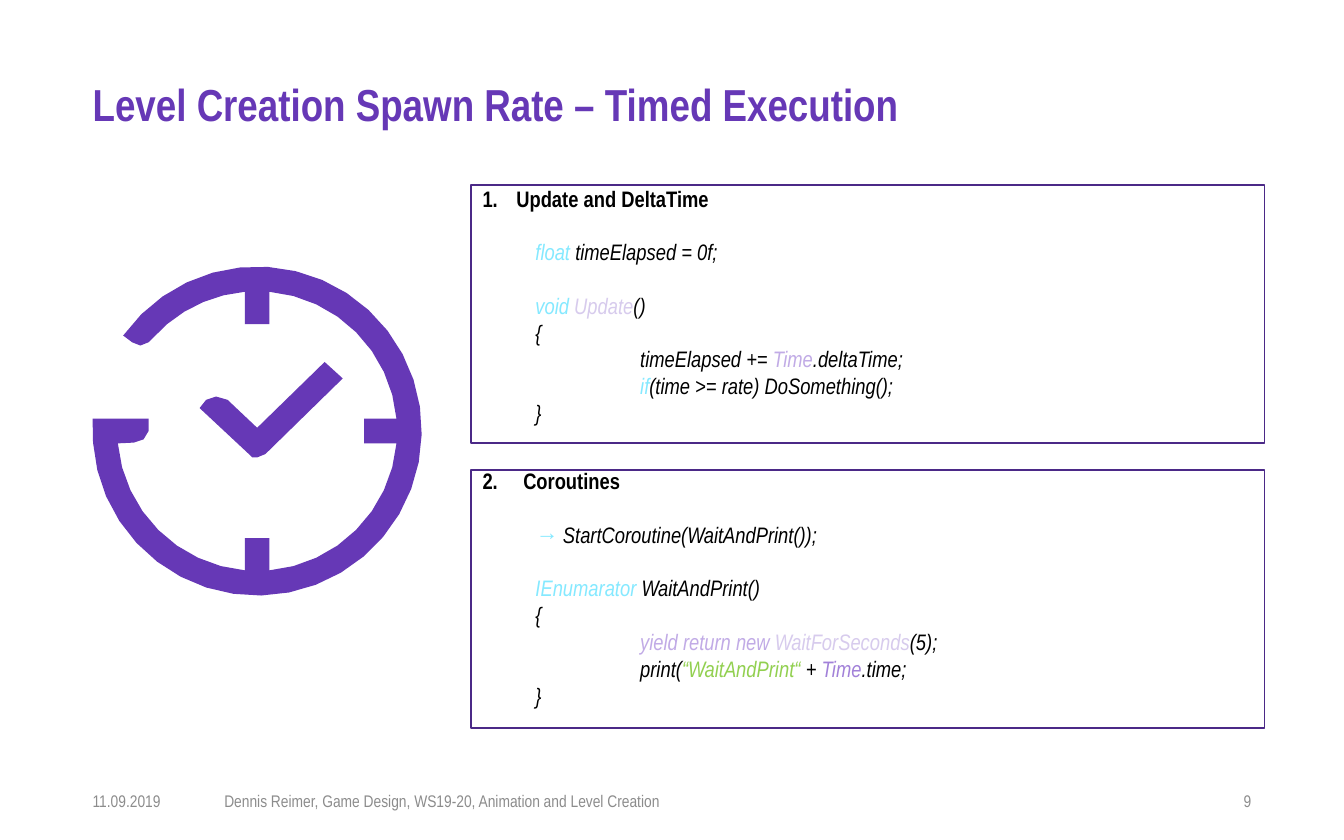
import dataclasses
import math

import pptx
import pptx.dml.color
import pptx.enum.shapes
import pptx.enum.text
import pptx.oxml.ns
import pptx.util
from lxml import etree

Cm = pptx.util.Cm
Pt = pptx.util.Pt
Align = pptx.enum.text.PP_ALIGN
Anchor = pptx.enum.text.MSO_ANCHOR


@dataclasses.dataclass(frozen=True)
class Theme:
    face: str = "Arial Narrow"
    accent: str = "6638B6"
    frame: str = "4B2987"
    footer: str = "8C8C8C"
    plain: str = "000000"
    keyword: str = "85E9FF"
    method: str = "D7CBED"
    type: str = "C1ABE6"
    member: str = "A281D9"
    string: str = "92D050"
    title_size: float = 24
    body_size: float = 12
    footer_size: float = 9
    code_gap: float = 14.2


THEME = Theme()
CODE_INDENT = 1.0
BLOCK_INDENT = 2.98

UPDATE_CODE = [
    (CODE_INDENT, True, [("float ", "keyword"), ("timeElapsed = 0f;", "plain")]),
    (CODE_INDENT, True, [("void ", "keyword"), ("Update", "method"), ("()", "plain")]),
    (CODE_INDENT, False, [("{", "plain")]),
    (BLOCK_INDENT, False, [("timeElapsed += ", "plain"), ("Time", "type"),
                           (".deltaTime;", "plain")]),
    (BLOCK_INDENT, False, [("if", "keyword"), ("(time >= rate) DoSomething();", "plain")]),
    (CODE_INDENT, False, [("}", "plain")]),
]
COROUTINE_CODE = [
    (CODE_INDENT, True, [("→ ", "keyword"), ("StartCoroutine(WaitAndPrint());", "plain")]),
    (CODE_INDENT, True, [("IEnumarator ", "keyword"), ("WaitAndPrint()", "plain")]),
    (CODE_INDENT, False, [("{", "plain")]),
    (BLOCK_INDENT, False, [("yield return new ", "type"), ("WaitForSeconds", "method"),
                           ("(5);", "plain")]),
    (BLOCK_INDENT, False, [("print(", "plain"), ("“WaitAndPrint“ ", "string"),
                           ("+ ", "plain"), ("Time", "member"), (".time;", "plain")]),
    (CODE_INDENT, False, [("}", "plain")]),
]


def apply(target, values):
    for name, value in values.items():
        setattr(target, name, value)


def rgb(color):
    return pptx.dml.color.RGBColor.from_string(color)


def place(shape, box):
    names = ("left", "top", "width", "height")
    apply(shape, {name: Cm(value) for name, value in zip(names, box)})


def prepare_frame(shape, anchor):
    frame = shape.text_frame
    apply(frame, {"margin_left": 0, "margin_right": 0, "margin_top": 0,
                  "margin_bottom": 0, "word_wrap": True, "vertical_anchor": anchor,
                  "auto_size": pptx.enum.text.MSO_AUTO_SIZE.NONE})
    return frame


def add_text_frame(page, box, anchor=Anchor.TOP):
    return prepare_frame(page.shapes.add_textbox(*map(Cm, box)), anchor)


def add_span(para, text, size, color, bold=False, italic=False):
    span = para.add_run()
    span.text = text
    apply(span.font, {"name": THEME.face, "size": Pt(size), "bold": bold, "italic": italic})
    span.font.color.rgb = rgb(color)


def set_indent(para, margin, hanging=0):
    properties = para._p.get_or_add_pPr()
    properties.set("marL", str(Cm(margin)))
    properties.set("indent", str(-Cm(hanging)))
    return properties


def add_title(page, box, text):
    title = page.shapes.title
    place(title, box)
    para = prepare_frame(title, Anchor.TOP).paragraphs[0]
    apply(para, {"alignment": Align.LEFT, "line_spacing": 0.9})
    add_span(para, text, THEME.title_size, THEME.accent, bold=True)


def add_footer(page, box, date, caption, number):
    left, top, width, height = box
    edge = 1.83
    parts = [
        (date, left, edge, Align.LEFT),
        (caption, left + 2.49, 16.92, Align.LEFT),
        (number, left + width - edge, edge, Align.RIGHT),
    ]
    for text, part_left, part_width, alignment in parts:
        frame = add_text_frame(page, (part_left, top, part_width, height), Anchor.MIDDLE)
        para = frame.paragraphs[0]
        para.alignment = alignment
        add_span(para, text, THEME.footer_size, THEME.footer)


def arc(radius, start, end):
    steps = math.ceil(abs(end - start) / 10)
    angles = (math.radians(start + (end - start) * step / steps) for step in range(steps + 1))
    return [(radius * math.cos(angle), radius * math.sin(angle)) for angle in angles]


def add_clock(page, box):
    left, top, size = box
    inner, tick, half = 0.85, 0.65, 0.075
    edge = math.degrees(math.asin(half / inner))
    outline = arc(1, 176, -144.5)
    outline += [(-0.76, -0.54), (-0.71, -0.52), (-0.66, -0.54)]
    start = -139
    for angle in (-90, 0, 90):
        outline += arc(inner, start, angle - edge)
        cos, sin = math.cos(math.radians(angle)), math.sin(math.radians(angle))
        outline += [(tick * cos - side * sin, tick * sin + side * cos)
                    for side in (-half, half)]
        start = angle + edge
    outline += arc(inner, start, 180 - edge)
    outline += [(-0.75, 0.07), (-0.69, 0.05), (-0.66, 0), (-0.66, -half), (-1, -half)]
    check = [(0, 0.16), (0.05, 0.14), (0.52, -0.32), (0.41, -0.42), (0, -0.02),
             (-0.18, -0.19), (-0.25, -0.21), (-0.31, -0.19), (-0.35, -0.14),
             (-0.05, 0.14), (-0.03, 0.16)]

    def scaled(points):
        radius = size / 2
        return [((left + radius * (1 + x)) * 1000, (top + radius * (1 + y)) * 1000)
                for x, y in points]

    outline, check = scaled(outline), scaled(check)
    builder = page.shapes.build_freeform(*outline[0], scale=Cm(1) / 1000)
    builder.add_line_segments(outline[1:], close=True)
    builder.move_to(*check[0])
    builder.add_line_segments(check[1:], close=True)
    clock = builder.convert_to_shape()
    clock.shadow.inherit = False
    clock.fill.solid()
    clock.fill.fore_color.rgb = rgb(THEME.accent)
    clock.line.fill.background()


def add_code_panel(page, box, heading, hanging, numbered, lines, shift):
    left, top, width, height = box
    border = page.shapes.add_shape(pptx.enum.shapes.MSO_SHAPE.RECTANGLE, *map(Cm, box))
    border.shadow.inherit = False
    border.fill.background()
    border.line.color.rgb = rgb(THEME.frame)
    border.line.width = Pt(1)

    frame = add_text_frame(page, (left + 0.21, top + shift, width - 0.23, height))
    para = frame.paragraphs[0]
    properties = set_indent(para, hanging, hanging)
    if numbered:
        etree.SubElement(properties, pptx.oxml.ns.qn("a:buFont"), typeface="+mj-lt")
        etree.SubElement(properties, pptx.oxml.ns.qn("a:buAutoNum"), type="arabicPeriod")
    add_span(para, heading, THEME.body_size, THEME.plain, bold=True)
    for indent, gap, spans in lines:
        para = frame.add_paragraph()
        set_indent(para, indent)
        para.space_before = Pt(THEME.code_gap if gap else 0)
        for text, role in spans:
            add_span(para, text, THEME.body_size, getattr(THEME, role), italic=True)


def main():
    deck = pptx.Presentation()
    apply(deck, {"slide_width": Cm(25.4), "slide_height": Cm(15.88)})
    page = deck.slides.add_slide(deck.slide_layouts.get_by_name("Title Only"))
    margin, content = 1.75, 21.9
    add_title(page, (margin, 1.57, content, 0.81),
              "Level Creation Spawn Rate – Timed Execution")
    add_clock(page, (margin, 5.04, 6.22))
    panel_left, panel_top, panel_width, panel_height, gap = 8.91, 3.5, 14.99, 4.88, 0.51
    panels = [
        ("Update and DeltaTime", 0.64, True, UPDATE_CODE, 0),
        ("2.\tCoroutines", 0.77, False, COROUTINE_CODE, -0.05),
    ]
    for index, panel in enumerate(panels):
        top = panel_top + index * (panel_height + gap)
        add_code_panel(page, (panel_left, top, panel_width, panel_height), *panel)
    add_footer(page, (margin, 14.72, content, 0.84), "11.09.2019",
               "Dennis Reimer, Game Design, WS19-20, Animation and Level Creation", "9")
    deck.save("out.pptx")


if __name__ == "__main__":
    main()
